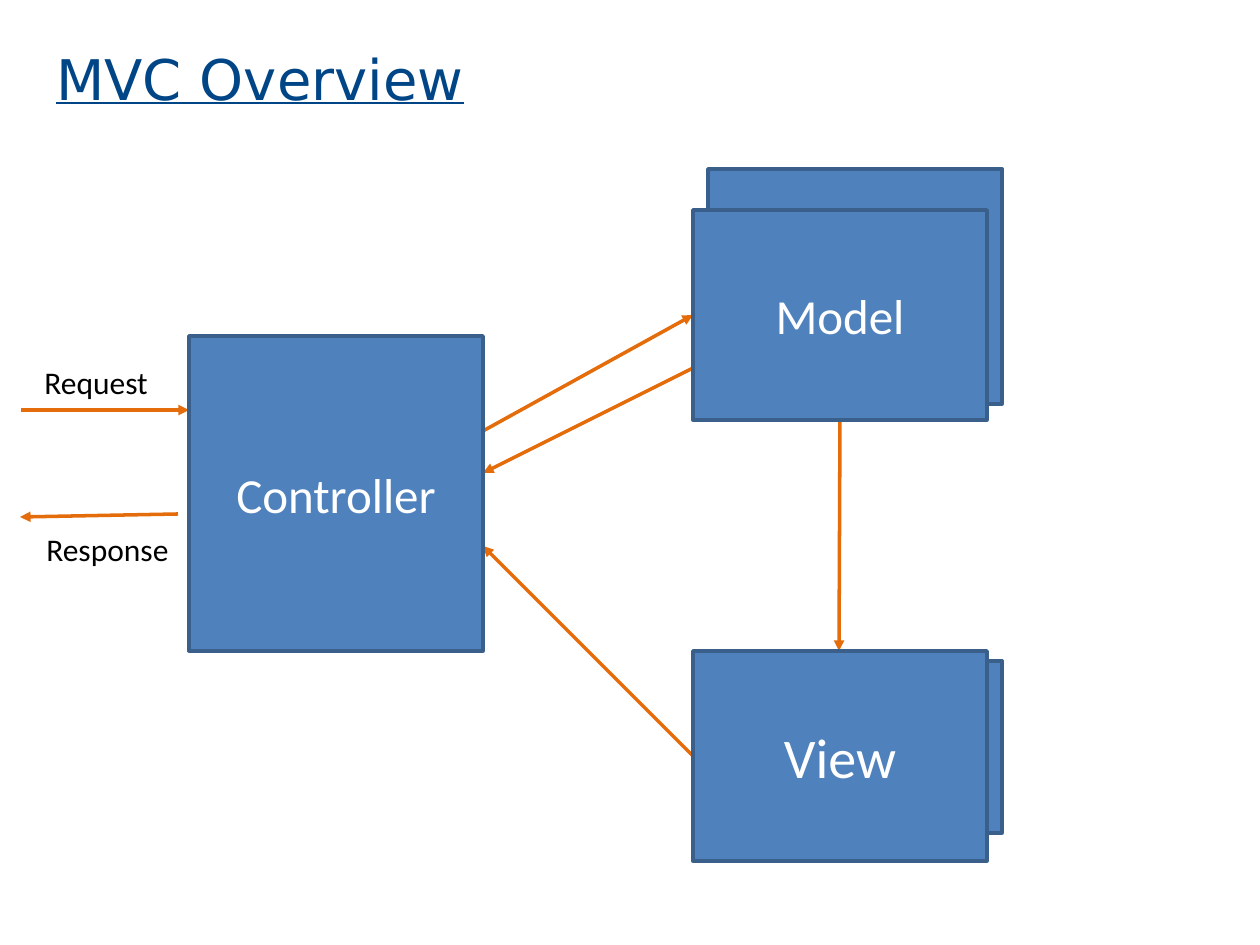
from dataclasses import dataclass

from lxml.etree import SubElement
from pptx import Presentation
from pptx.dml.color import RGBColor as Color
from pptx.enum.shapes import MSO_CONNECTOR as Connector, MSO_SHAPE as Shape
from pptx.enum.text import MSO_ANCHOR as Anchor, MSO_AUTO_SIZE as AutoSize, PP_ALIGN as Align
from pptx.oxml.ns import qn
from pptx.util import Emu, Pt

EMU_PER_PX = 914400 / 126


@dataclass(frozen=True)
class Theme:
    title: Color = Color(0x00, 0x45, 0x86)
    label: Color = Color(0x00, 0x00, 0x00)
    box_text: Color = Color(0xFF, 0xFF, 0xFF)
    box_fill: Color = Color(0x4F, 0x81, 0xBD)
    box_line: Color = Color(0x3A, 0x5F, 0x8B)
    arrow: Color = Color(0xE4, 0x6C, 0x0A)
    title_font: str = "DejaVu Sans"
    body_font: str = "Calibri"
    title_size: int = 32
    box_size: int = 28
    view_size: int = 32
    label_size: int = 18
    line_width: int = 2


THEME = Theme()


@dataclass(frozen=True)
class Box:
    left: int
    top: int
    width: int
    height: int

    def inner(self, left, top, width, height):
        return Box(self.left + left, self.top + top, width, height)

    def point(self, x, y):
        return self.left + x, self.top + y

    def emu(self):
        return [px(value) for value in (self.left, self.top, self.width, self.height)]


def px(value):
    return Emu(round(value * EMU_PER_PX))


def write(shape, text, font_name, size, color):
    paragraph = shape.text_frame.paragraphs[0]
    paragraph.text = text
    font = paragraph.font
    font.name = font_name
    font.size = Pt(size)
    font.color.rgb = color
    return paragraph


def add_arrow(slide, start, end):
    ends = [px(value) for value in (*start, *end)]
    connector = slide.shapes.add_connector(Connector.STRAIGHT, *ends)
    connector.line.color.rgb = THEME.arrow
    connector.line.width = Pt(THEME.line_width)
    SubElement(connector.get_or_add_ln(), qn("a:tailEnd"), type="triangle")
    SubElement(connector._element.spPr, qn("a:effectLst"))


def add_block(slide, box):
    shape = slide.shapes.add_shape(Shape.RECTANGLE, *box.emu())
    shape.shadow.inherit = False
    shape.fill.solid()
    shape.fill.fore_color.rgb = THEME.box_fill
    shape.line.color.rgb = THEME.box_line
    shape.line.width = Pt(THEME.line_width)
    return shape


def add_component(slide, box, name, size):
    shape = add_block(slide, box)
    shape.text_frame.vertical_anchor = Anchor.MIDDLE
    paragraph = write(shape, name, THEME.body_font, size, THEME.box_text)
    paragraph.alignment = Align.CENTER


def add_stacked_component(slide, box, name, size, back_top, back_height):
    add_block(slide, box.inner(15, back_top, box.width, back_height))
    add_component(slide, box, name, size)


def add_label(slide, box, text):
    shape = slide.shapes.add_textbox(*box.emu())
    shape.text_frame.word_wrap = False
    shape.text_frame.auto_size = AutoSize.SHAPE_TO_FIT_TEXT
    write(shape, text, THEME.body_font, THEME.label_size, THEME.label)


def add_title(slide, box):
    shape = slide.shapes.add_textbox(*box.emu())
    shape.text_frame.word_wrap = True
    shape.text_frame.vertical_anchor = Anchor.MIDDLE
    paragraph = write(shape, "MVC Overview", THEME.title_font, THEME.title_size, THEME.title)
    paragraph.font.underline = True


def add_client_traffic(slide, box):
    add_arrow(slide, box.point(1, 53), box.point(box.width, 53))
    add_arrow(slide, box.point(158, 157), box.point(0, 160))
    add_label(slide, box.inner(12, 0, 132, 50), "Request")
    add_label(slide, box.inner(14, 167, 150, 50), "Response")


def add_flows(slide, controller, model, view):
    add_arrow(slide, controller.point(controller.width, 95), model.point(0, 105))
    add_arrow(slide, view.point(0, 105), controller.point(controller.width, 210))
    add_arrow(slide, model.point(0, 158), controller.point(controller.width, 137))
    add_arrow(slide, model.point(147, model.height), view.point(146, 0))


def main():
    presentation = Presentation()
    presentation.slide_width = px(1260)
    presentation.slide_height = px(945)
    slide = presentation.slides.add_slide(presentation.slide_layouts[6])

    controller = Box(189, 336, 294, 315)
    model = Box(693, 210, 294, 210)
    view = Box(693, 651, 294, 210)

    add_flows(slide, controller, model, view)
    add_client_traffic(slide, Box(20, 357, 169, 217))
    add_title(slide, Box(44, 37, 542, 82))
    add_component(slide, controller, "Controller", THEME.box_size)
    add_stacked_component(slide, model, "Model", THEME.box_size, -41, 235)
    add_stacked_component(slide, view, "View", THEME.view_size, 10, 172)
    presentation.save("out.pptx")


if __name__ == "__main__":
    main()
